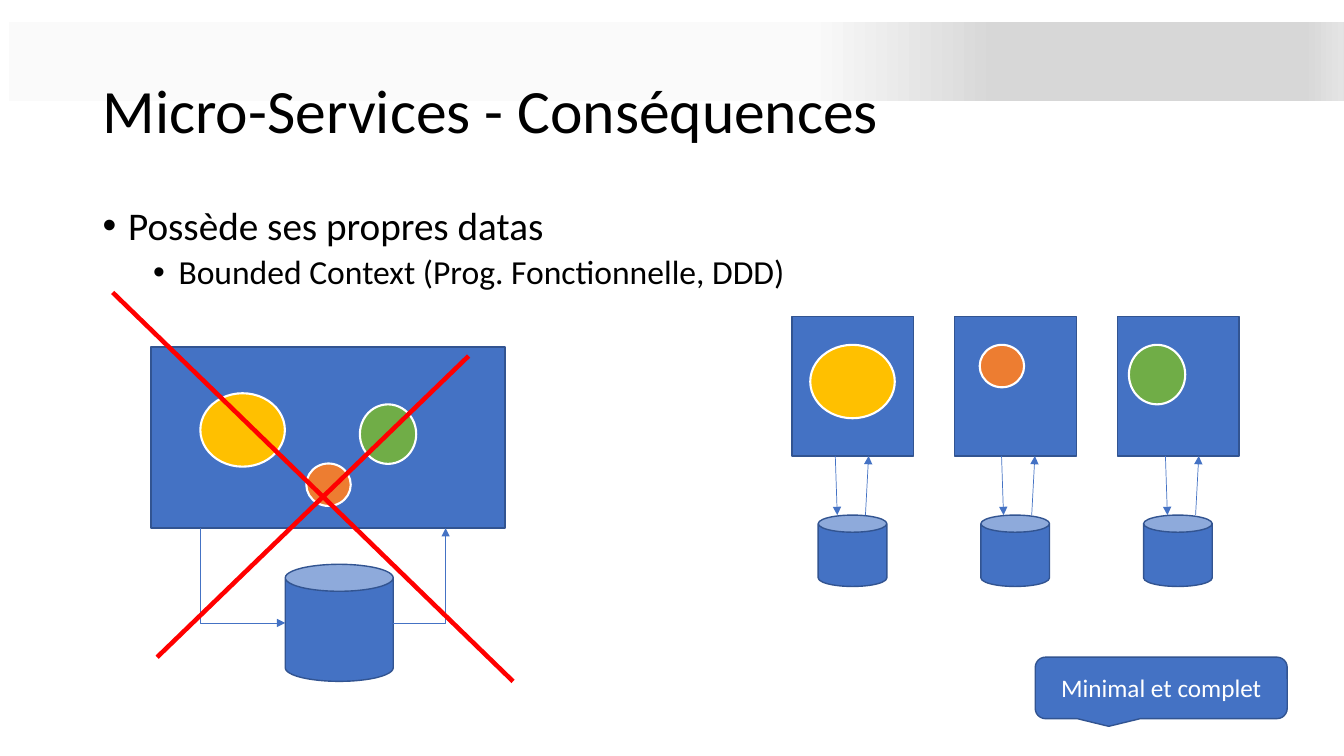
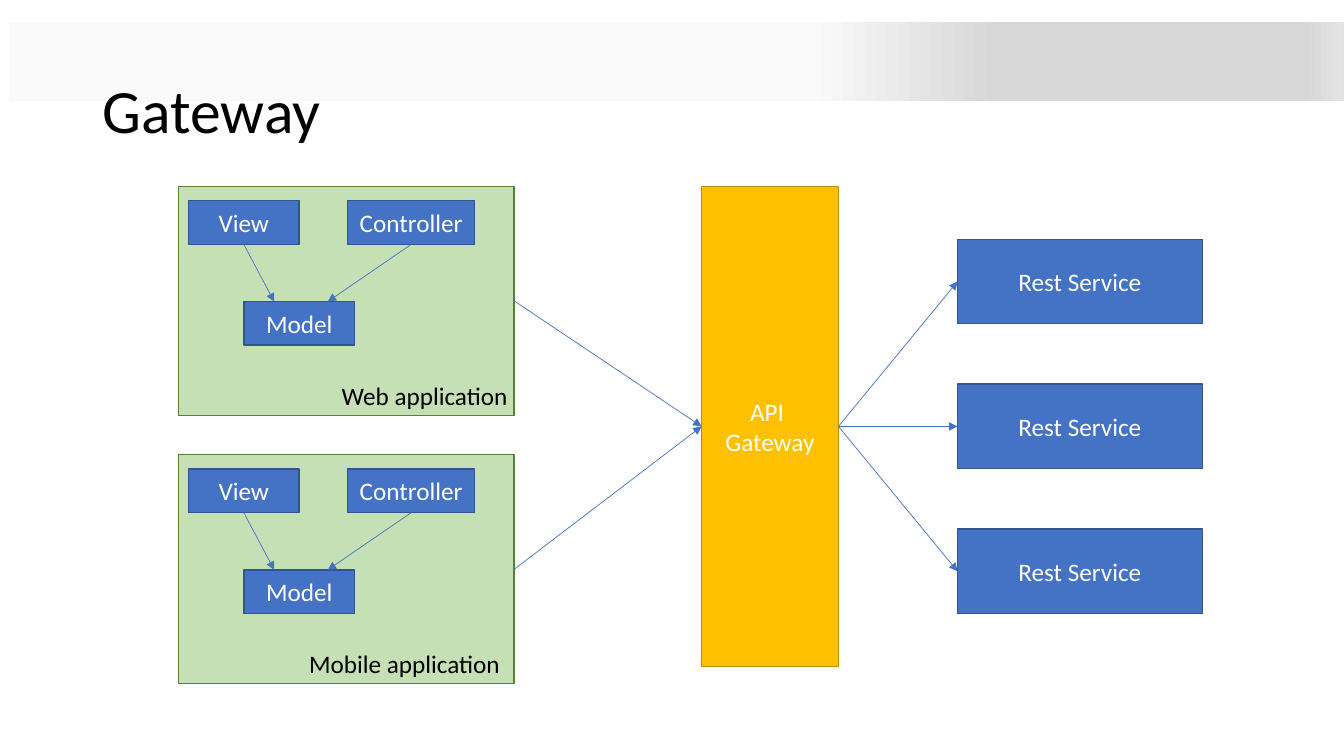
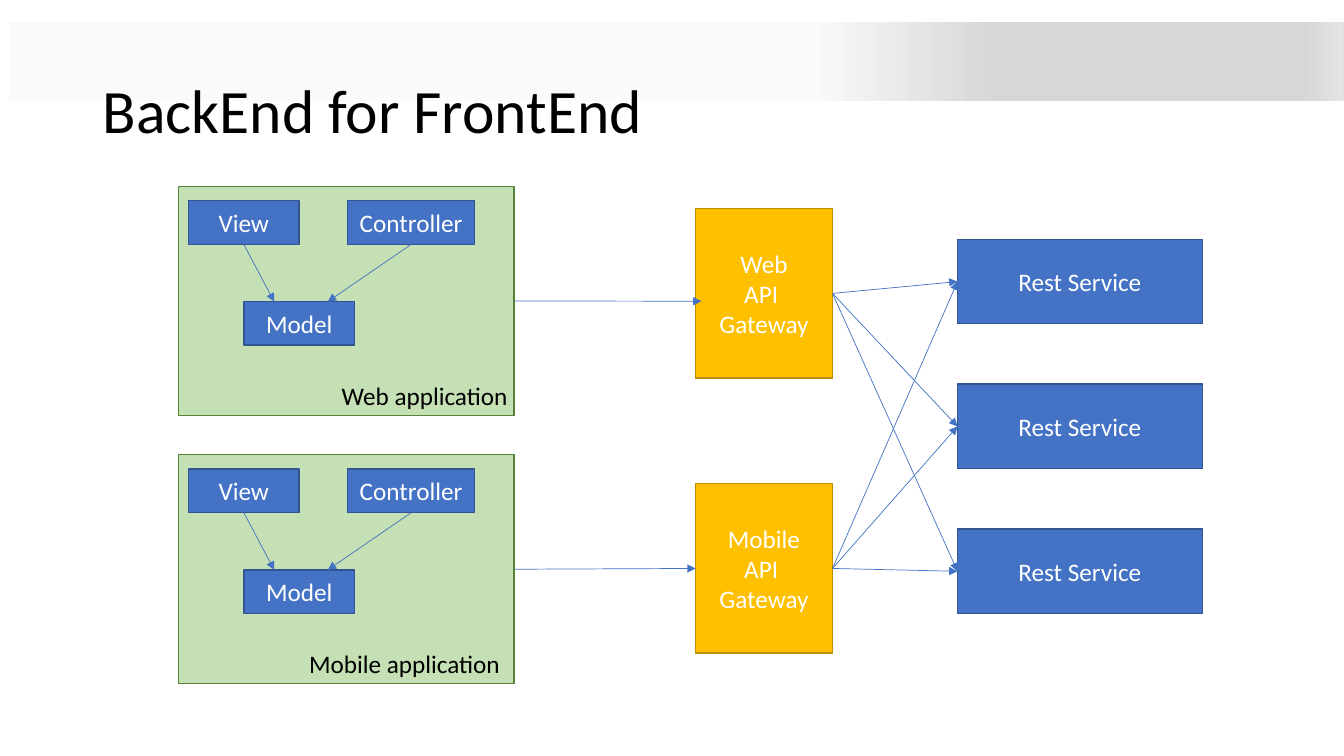
from lxml.etree import SubElement
from pptx import Presentation
from pptx.dml.color import RGBColor
from pptx.enum.shapes import MSO_CONNECTOR, MSO_SHAPE
from pptx.enum.text import MSO_ANCHOR, PP_ALIGN
from pptx.oxml.ns import qn
from pptx.util import Cm, Pt

COLORS = {
    "black": "000000", "white": "FFFFFF", "red": "FF0000",
    "blue": "4472C4", "blue_edge": "325491",
    "gold": "FFC000", "gold_edge": "BD8E00",
    "mint": "C5E0B4", "mint_edge": "548235",
    "orange": "ED7D31", "green": "70AD47",
}
BAND_STOPS = [(60, "FAFAFA"), (74, "D7D7D7"), (97, "D7D7D7"), (100, "E4E4E4")]
LABEL = {"name": "Calibri", "size": Pt(18)}
TITLE = {"name": "Calibri", "size": Pt(44)}


def add_box(page, preset, frame, fill=None, edge=None, text="", color="white",
            font=LABEL, weight=1):
    """Add a preset shape, or a plain text box when preset is None; frame is in cm."""
    place = [Cm(length) for length in frame]
    if preset is None:
        box = page.shapes.add_textbox(*place)
        align, anchor = PP_ALIGN.LEFT, MSO_ANCHOR.TOP
    else:
        box = page.shapes.add_shape(preset, *place)
        box.shadow.inherit = False
        align, anchor = PP_ALIGN.CENTER, MSO_ANCHOR.MIDDLE
        if fill:
            box.fill.solid()
            box.fill.fore_color.rgb = RGBColor.from_string(COLORS[fill])
        if edge:
            box.line.color.rgb = RGBColor.from_string(COLORS[edge])
            box.line.width = Pt(weight)
        else:
            box.line.fill.background()
    if text:
        box.text_frame.text = text
        box.text_frame.word_wrap = True
        box.text_frame.vertical_anchor = anchor
        for para in box.text_frame.paragraphs:
            para.alignment = align
            for span in para.runs:
                for name, value in font.items():
                    setattr(span.font, name, value)
                span.font.color.rgb = RGBColor.from_string(COLORS[color])
    return box


def add_line(page, start, end, color="blue", weight=0.5, arrow="tailEnd", bent=False):
    """Join two ends, each either a point (x, y) in cm or a pair (box, side)."""
    kind = MSO_CONNECTOR.ELBOW if bent else MSO_CONNECTOR.STRAIGHT
    points = [end_point if isinstance(end_point[0], (int, float)) else (0, 0)
              for end_point in (start, end)]
    line = page.shapes.add_connector(kind, *[Cm(n) for point in points for n in point])
    if points[0] != start:
        line.begin_connect(*start)
    if points[1] != end:
        line.end_connect(*end)
    line.line.color.rgb = RGBColor.from_string(COLORS[color])
    line.line.width = Pt(weight)
    properties = line.element.spPr
    if bent:
        properties.find(qn("a:prstGeom")).set("prst", "bentConnector2")
    if arrow:
        SubElement(properties.find(qn("a:ln")), qn("a:" + arrow), type="triangle")
    SubElement(properties, qn("a:effectLst"))


deck = Presentation()
deck.slide_width, deck.slide_height = Cm(33.87), Cm(19.05)

# Shared band and title
pages = []
for heading in ["Micro-Services - Conséquences", "Gateway", "BackEnd for FrontEnd"]:
    page = deck.slides.add_slide(deck.slide_layouts[6])
    band = add_box(page, MSO_SHAPE.RECTANGLE, (0.23, 0.56, 33.63, 1.98))
    band.fill.gradient()
    band.fill.gradient_angle = 0
    stops = band.element.spPr.find(qn("a:gradFill")).find(qn("a:gsLst"))
    for stop in list(stops):
        stops.remove(stop)
    for position, tone in BAND_STOPS:
        stop = SubElement(stops, qn("a:gs"), pos=str(position * 1000))
        SubElement(stop, qn("a:srgbClr"), val=tone)
    title = add_box(page, None, (2.34, 1.02, 29.21, 3.68), text=heading,
                    color="black", font=TITLE)
    title.text_frame.vertical_anchor = MSO_ANCHOR.MIDDLE
    title.text_frame.paragraphs[0].line_spacing = 0.9
    pages.append(page)

# Consequences: bullets
page = pages[0]
body = add_box(page, None, (2.34, 5.08, 29.21, 12.09), color="black",
               text="Possède ses propres datas\nBounded Context (Prog. Fonctionnelle, DDD)")
levels = [(0, 0.64, 28, 0), (1, 1.91, 24, 5)]
for para, (level, margin, size, before) in zip(body.text_frame.paragraphs, levels):
    for name, value in {"level": level, "line_spacing": 0.9,
                        "space_before": Pt(before)}.items():
        setattr(para, name, value)
    settings = para._p.get_or_add_pPr()
    settings.set("marL", str(Cm(margin)))
    settings.set("indent", str(-Cm(0.64)))
    SubElement(settings, qn("a:buFont"), typeface="Arial")
    SubElement(settings, qn("a:buChar"), char="•")
    para.runs[0].font.size = Pt(size)

# Consequences: monolith and its store
add_box(page, MSO_SHAPE.CAN, (7.19, 14.22, 2.72, 2.95), "blue", "blue_edge")
add_box(page, MSO_SHAPE.RECTANGLE, (3.81, 8.74, 8.92, 4.57), "blue", "blue_edge")
add_line(page, (7.19, 15.7), (5.05, 13.31), arrow="headEnd", bent=True)
add_line(page, (9.91, 15.7), (11.23, 13.31), bent=True)

# Consequences: one service and one store per context
contexts = [
    # colour, size, place in monolith, offset in service, arrow shift
    ("gold", (2.13, 1.85), (5.05, 9.91), 0.46, 0),
    ("orange", (1.12, 1.07), (7.72, 11.68), 0.63, 0.09),
    ("green", (1.42, 1.5), (9.07, 10.19), 0.29, 0.12),
]
for number, (color, size, spot, offset, shift) in enumerate(contexts):
    left = 19.96 + 4.1 * number
    add_box(page, MSO_SHAPE.RECTANGLE, (left, 7.98, 3.07, 3.51), "blue", "blue_edge")
    add_box(page, MSO_SHAPE.CAN, (left + 0.66, 12.98, 1.73, 1.8), "blue", "blue_edge")
    for place in [spot, (left + offset, 8.69)]:
        add_box(page, MSO_SHAPE.OVAL, (*place, *size), color, "white", weight=1.5)
    foot = left + shift
    add_line(page, (foot + 1.09, 11.49), (foot + 1.14, 12.98))
    add_line(page, (foot + 1.85, 12.98), (foot + 1.93, 11.49))

# Consequences: cross and callout
for start, end in [((3.96, 16.56), (11.81, 8.97)), ((2.84, 7.37), (12.93, 17.17))]:
    add_line(page, start, end, "red", 3.25, arrow=None)
add_box(page, MSO_SHAPE.ROUNDED_RECTANGULAR_CALLOUT, (26.09, 16.56, 6.35, 1.55),
        "blue", "blue_edge", "Minimal et complet")

# Gateway pages: applications, gateways, services
applications = [("Web application", 4.7, 8.36, 4.9),
                ("Mobile application", 11.46, 7.54, 5.74)]
gateway_sets = [
    # text, frame, entries as (application, free end or None)
    [("API \vGateway", (17.68, 4.7, 3.45, 12.09), [(0, None), (1, None)])],
    [("Web\nAPI \vGateway", (17.53, 5.26, 3.45, 4.27), [(0, (17.68, 7.59))]),
     ("Mobile\nAPI \vGateway", (17.53, 12.19, 3.45, 4.27), [(1, None)])],
]
for page, gateways in zip(pages[1:], gateway_sets):
    panels = []
    for name, top, label_left, label_width in applications:
        panels.append(add_box(page, MSO_SHAPE.RECTANGLE, (4.5, top, 8.46, 5.77),
                              "mint", "mint_edge"))
        parts = {}
        for part, left, drop, width in [("Model", 6.15, 2.9, 2.79),
                                        ("View", 4.75, 0.36, 2.79),
                                        ("Controller", 8.76, 0.36, 3.2)]:
            parts[part] = add_box(page, MSO_SHAPE.RECTANGLE,
                                  (left, top + drop, width, 1.1),
                                  "blue", "blue_edge", part)
        add_line(page, (parts["View"], 2), (6.91, top + 2.9))
        add_line(page, (parts["Controller"], 2), (8.26, top + 2.9))
        add_box(page, None, (label_left, top + 4.75, label_width, 1.02),
                text=name, color="black")

    services = [add_box(page, MSO_SHAPE.RECTANGLE, (24.13, 6.03 + 3.65 * row, 6.17, 2.13),
                        "blue", "blue_edge", "Rest Service") for row in range(3)]

    for text, frame, entries in gateways:
        gateway = add_box(page, MSO_SHAPE.RECTANGLE, frame, "gold", "gold_edge", text)
        for source, free_end in entries:
            add_line(page, (panels[source], 3), free_end or (gateway, 1))
        for service in services:
            add_line(page, (gateway, 3), (service, 1))

deck.save("out.pptx")
